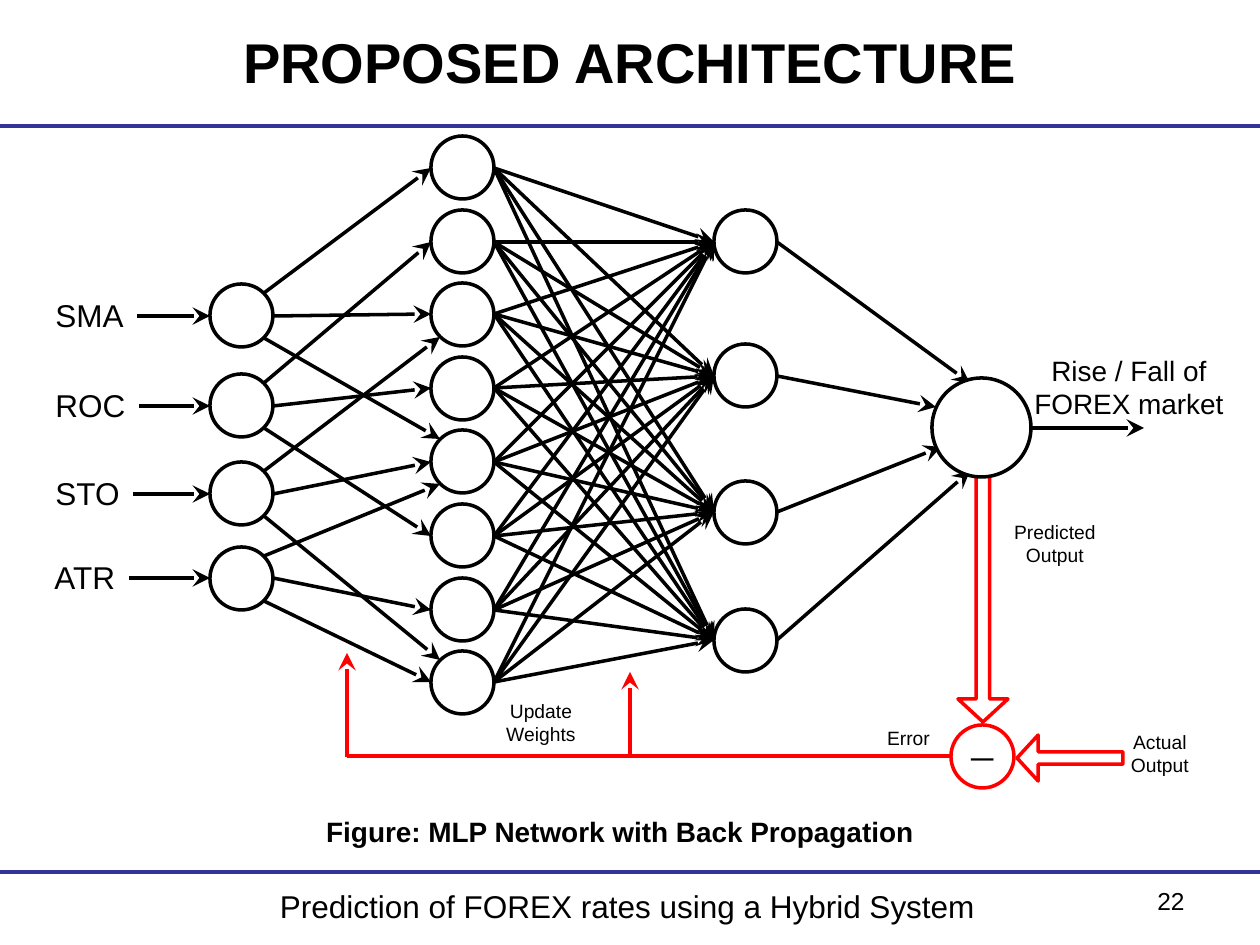
from dataclasses import dataclass
from math import sqrt

from lxml import etree
from pptx import Presentation
from pptx.dml.color import RGBColor
from pptx.enum.shapes import MSO_CONNECTOR, MSO_SHAPE
from pptx.enum.text import MSO_ANCHOR, PP_ALIGN
from pptx.oxml.ns import qn
from pptx.util import Emu, Pt

STRAIGHT = MSO_CONNECTOR.STRAIGHT
OVAL, DOWN_ARROW = MSO_SHAPE.OVAL, MSO_SHAPE.DOWN_ARROW
TOP, MIDDLE = MSO_ANCHOR.TOP, MSO_ANCHOR.MIDDLE
LEFT, CENTER, RIGHT = PP_ALIGN.LEFT, PP_ALIGN.CENTER, PP_ALIGN.RIGHT
BLACK, WHITE, RED, NAVY = "000000", "FFFFFF", "FF0000", "333399"
PX_PER_INCH = 126
NODE_SIZE = 63
INPUT_LABEL_WIDTH = 104
STROKE = 2


@dataclass(frozen=True)
class Node:
    left: int
    top: int
    size: int = NODE_SIZE

    def site(self, x: int, y: int) -> tuple[int, int]:
        """Return the point on the rim in the direction (x, y)."""
        radius = self.size / 2
        reach = radius / sqrt(x * x + y * y)
        return round(self.left + radius + x * reach), round(self.top + radius + y * reach)


@dataclass(frozen=True)
class Link:
    source: int
    exit: int
    target: int
    entry: int = 0


@dataclass(frozen=True)
class Label:
    text: str
    left: int
    top: int
    width: int
    height: int
    size: int
    align: int = CENTER
    bold: bool = False


@dataclass(frozen=True)
class Input:
    text: str
    label_left: int
    arrow_left: int
    node: Node


INPUTS = [
    Input("SMA", 43, 137, Node(210, 284)),
    Input("ROC", 43, 139, Node(210, 374)),
    Input("STO", 43, 133, Node(210, 462)),
    Input("ATR", 42, 129, Node(210, 547)),
]
FIRST_HIDDEN = [Node(431, round(136 + 73.6 * row)) for row in range(8)]
SECOND_HIDDEN = [Node(714, top) for top in (210, 344, 481, 609)]
OUTPUT = Node(932, 378, 99)
COMPARATOR = Node(951, 725)

INPUT_LINKS = [
    Link(0, -1, 0), Link(0, 0, 2), Link(0, 1, 4, -1),
    Link(1, -1, 1), Link(1, 0, 3), Link(1, 1, 5),
    Link(2, -1, 2, 1), Link(2, 0, 4), Link(2, 1, 7, -1),
    Link(3, -1, 4, 1), Link(3, 0, 6), Link(3, 1, 7),
]
OUTPUT_ENTRIES = [(970, 383), (936, 407), (941, 447), (970, 471)]

LABELS = [
    Label("Prediction of FOREX rates using a Hybrid System", 164, 881, 927, 57, 18),
    Label("22", 903, 880, 294, 65, 14, RIGHT),
    Label("Rise / Fall of FOREX market", 1008, 347, 242, 81, 16),
    Label("Figure: MLP Network with Back Propagation", 295, 808, 650, 47, 16, bold=True),
    Label("Predicted Output", 997, 514, 116, 59, 11),
    Label("Actual Output", 1102, 724, 116, 59, 11),
    Label("Error", 872, 720, 73, 37, 11),
    Label("Update Weights", 483, 693, 116, 59, 11),
]


def px(value: int) -> Emu:
    """Turn pixels into EMU."""
    return Emu(round(value * 914400 / PX_PER_INCH))


def color(value: str) -> RGBColor:
    """Turn a hex string into a colour."""
    return RGBColor.from_string(value)


def write(shape, text: str, size: int, align=CENTER, bold=False, anchor=TOP, wrap=True) -> None:
    """Write one paragraph of black text into a shape."""
    frame = shape.text_frame
    frame.word_wrap = wrap
    frame.vertical_anchor = anchor
    paragraph = frame.paragraphs[0]
    paragraph.alignment = align
    run = paragraph.add_run()
    run.text = text
    run.font.name = "Arial"
    run.font.size = Pt(size)
    run.font.bold = bold
    run.font.color.rgb = color(BLACK)


def add_label(slide, label: Label) -> None:
    """Add a text box."""
    box = slide.shapes.add_textbox(px(label.left), px(label.top), px(label.width), px(label.height))
    write(box, label.text, label.size, label.align, label.bold)


def add_line(slide, start, end, line_color=BLACK, width=STROKE, arrow=True) -> None:
    """Add a straight line, with a stealth head at its end if wanted."""
    connector = slide.shapes.add_connector(STRAIGHT, *map(px, (*start, *end)))
    connector.line.width = Pt(width)
    connector.line.color.rgb = color(line_color)
    properties = connector._element.spPr
    if arrow:
        outline = properties.find(qn("a:ln"))
        etree.SubElement(outline, qn("a:tailEnd"), type="stealth", w="lg", len="lg")
    etree.SubElement(properties, qn("a:effectLst"))


def add_node(slide, node: Node, line_color: str = BLACK):
    """Add a white circle and return it."""
    shape = slide.shapes.add_shape(OVAL, px(node.left), px(node.top), px(node.size), px(node.size))
    shape.shadow.inherit = False
    shape.fill.solid()
    shape.fill.fore_color.rgb = color(WHITE)
    shape.line.color.rgb = color(line_color)
    shape.line.width = Pt(STROKE)
    return shape


def add_block_arrow(slide, left: int, top: int, width: int, height: int, rotation: int = 0) -> None:
    """Add a hollow red arrow that points down before rotation."""
    arrow = slide.shapes.add_shape(DOWN_ARROW, px(left), px(top), px(width), px(height))
    arrow.shadow.inherit = False
    arrow.adjustments[0] = 0.27
    arrow.adjustments[1] = 0.46
    arrow.rotation = rotation
    arrow.fill.background()
    arrow.line.color.rgb = color(RED)
    arrow.line.width = Pt(STROKE)


def add_network(slide) -> None:
    """Draw the neurons and the forward links."""
    for entry in INPUTS:
        middle = entry.node.site(-1, 0)
        add_line(slide, (entry.arrow_left, middle[1]), middle)
        add_label(slide, Label(entry.text, entry.label_left, middle[1] - 26,
                               INPUT_LABEL_WIDTH, 50, 18, LEFT))
    for node in [entry.node for entry in INPUTS] + FIRST_HIDDEN + SECOND_HIDDEN:
        add_node(slide, node)
    for link in INPUT_LINKS:
        add_line(slide, INPUTS[link.source].node.site(1, link.exit),
                 FIRST_HIDDEN[link.target].site(-1, link.entry))
    for source in FIRST_HIDDEN:
        for target in SECOND_HIDDEN:
            add_line(slide, source.site(1, 0), target.site(-1, 0))
    for source, entry_point in zip(SECOND_HIDDEN, OUTPUT_ENTRIES):
        add_line(slide, source.site(1, 0), entry_point)
    add_line(slide, OUTPUT.site(1, 0), (1144, 428))


def add_feedback(slide) -> None:
    """Draw the error comparison and the weight update path."""
    write(add_node(slide, COMPARATOR, RED), "─", 18, anchor=MIDDLE, wrap=False)
    add_line(slide, COMPARATOR.site(-1, 0), (347, 756), RED, arrow=False)
    add_line(slide, (347, 757), (347, 653), RED)
    add_line(slide, (630, 756), (630, 672), RED)
    add_block_arrow(slide, 958, 470, 50, 252)
    add_node(slide, OUTPUT)
    add_block_arrow(slide, 1047, 705, 46, 106, 90)


def main() -> None:
    """Build the slide and save it."""
    presentation = Presentation()
    presentation.slide_width, presentation.slide_height = px(1260), px(945)
    slide = presentation.slides.add_slide(presentation.slide_layouts[5])
    title = slide.shapes.title
    title.left, title.top, title.width, title.height = map(px, (63, 17, 1134, 88))
    write(title, "PROPOSED ARCHITECTURE", 32, bold=True, anchor=MIDDLE)
    for height in (126, 872):
        add_line(slide, (0, height), (1260, height), NAVY, 2.25, arrow=False)
    add_network(slide)
    add_feedback(slide)
    for label in LABELS:
        add_label(slide, label)
    presentation.save("out.pptx")


if __name__ == "__main__":
    main()
